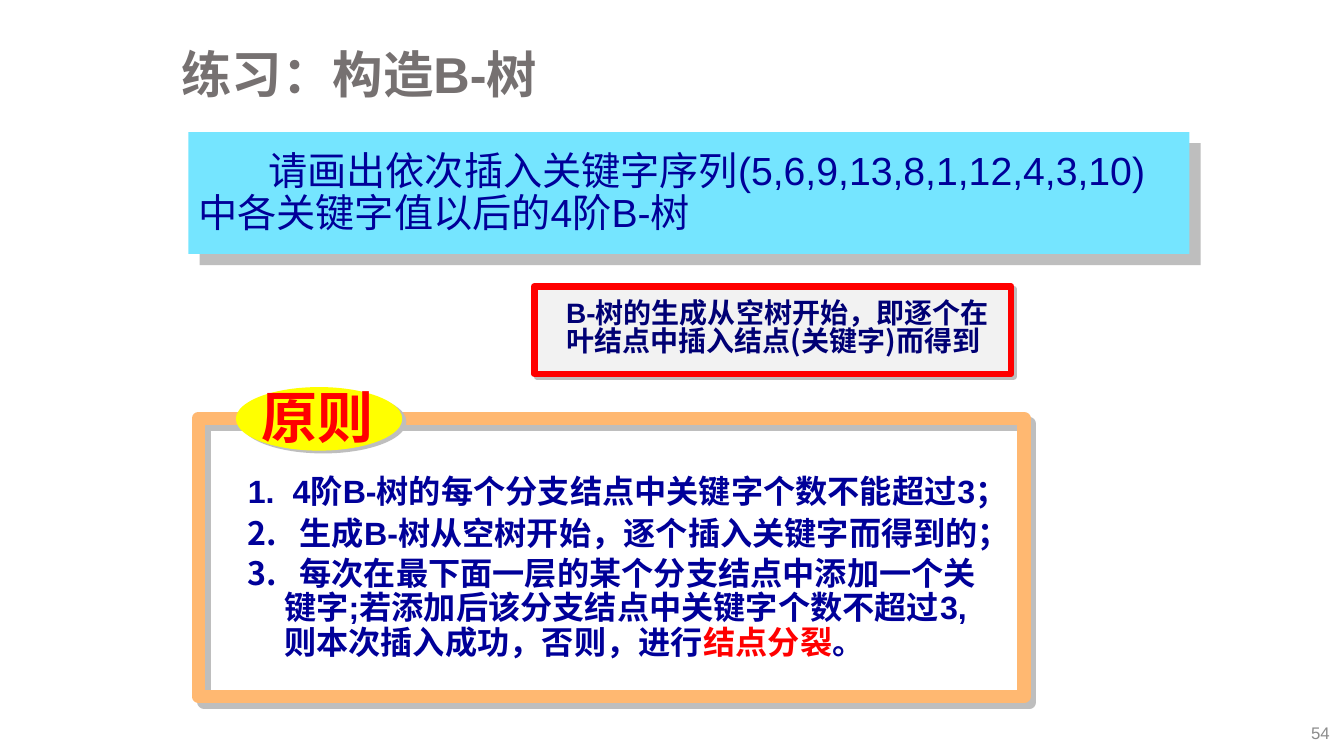
"""Builds the exercise slide on constructing a B-tree of order 4."""
from lxml import etree
from pptx import Presentation
from pptx import util as u
from pptx.dml.color import RGBColor
from pptx.enum import shapes, text
from pptx.oxml import parse_xml
from pptx.oxml.ns import nsdecls, qn

COLOURS = {
    "title": "767171", "number": "8C8C8C", "body": "000099", "note": "000074",
    "accent": "FF0000", "question": "75E5FF", "badge": "FFFF00", "frame": "FFB871",
    "panel": "F2F2F2", "shadow": "BEBEBE", "black": "000000",
}
ARIAL, NOTO = "Arial", "Noto Sans CJK SC"


def colour(name):
    """Return a named colour."""
    return RGBColor.from_string(COLOURS[name])


def shadow_effect(name, distance, angle):
    """Return an effect list with a hard shadow; distance in points."""
    return parse_xml(
        f'<a:effectLst {nsdecls("a")}><a:outerShdw blurRad="0" dist="{int(u.Pt(distance))}" '
        f'dir="{angle * 60000}" algn="ctr" rotWithShape="0">'
        f'<a:srgbClr val="{COLOURS[name]}"/></a:outerShdw></a:effectLst>')


class ExerciseSlide:
    """Holds the slide and its text style."""

    def __init__(self, slide):
        """Keep the slide to draw on."""
        self.slide = slide

    def place(self, shape, box):
        """Move a shape to a box given in points."""
        shape.left, shape.top, shape.width, shape.height = map(u.Pt, box)

    def run(self, paragraph, words, size, name="body", bold=True, font=ARIAL):
        """Add one styled run."""
        run = paragraph.add_run()
        run.text = words
        run.font.size, run.font.bold, run.font.name = u.Pt(size), bold, font
        run.font.color.rgb = colour(name)
        latin = run.font._element.find(qn("a:latin"))
        east_asian = etree.Element(qn("a:ea"), typeface=NOTO)
        latin.addnext(east_asian)
        return run

    def title(self, words, box):
        """Fill and format the title placeholder."""
        title = self.slide.shapes.title
        self.place(title, box)
        title.text_frame.vertical_anchor = text.MSO_ANCHOR.MIDDLE
        paragraph = title.text_frame.paragraphs[0]
        paragraph.alignment, paragraph.line_spacing = text.PP_ALIGN.LEFT, 0.9
        self.run(paragraph, words, 36, "title")

    def frame(self, box, anchor=text.MSO_ANCHOR.TOP):
        """Add a wrapping text box and return its text frame."""
        frame = self.slide.shapes.add_textbox(*map(u.Pt, box)).text_frame
        frame.word_wrap, frame.vertical_anchor = True, anchor
        return frame

    def paragraph(self, frame, first=False, spacing=1.0, left=0, indent=0):
        """Return a paragraph with line spacing and indents in points."""
        paragraph = frame.paragraphs[0] if first else frame.add_paragraph()
        paragraph.line_spacing = spacing
        properties = paragraph._p.get_or_add_pPr()
        properties.set("marL", str(int(u.Pt(left))))
        properties.set("indent", str(int(u.Pt(indent))))
        return paragraph

    def rule(self, number, words, box, left, spacing=1.0):
        """Add a numbered rule and return its text frame."""
        frame = self.frame(box)
        paragraph = self.paragraph(frame, True, spacing, left, -left)
        etree.SubElement(paragraph._p.get_or_add_pPr(), qn("a:buAutoNum"),
                         type="arabicPeriod", startAt=str(number))
        self.run(paragraph, words, 23)
        return frame

    def panel(self, kind, box, shadow, fill=None, line=None, weight=0):
        """Add a shape with a hard shadow."""
        shape = self.slide.shapes.add_shape(kind, *map(u.Pt, box))
        if fill:
            shape.fill.solid()
            shape.fill.fore_color.rgb = colour(fill)
        else:
            shape.fill.background()
        if line:
            shape.line.color.rgb, shape.line.width = colour(line), u.Pt(weight)
        else:
            shape.line.fill.background()
        shape.shadow.inherit = False
        effects = shape._element.spPr.find(qn("a:effectLst"))
        effects.getparent().replace(effects, shadow_effect("shadow", *shadow))


def main():
    """Build and save the slide."""
    deck = Presentation()
    deck.slide_width, deck.slide_height = u.Pt(960), u.Pt(540)
    page = ExerciseSlide(deck.slides.add_slide(deck.slide_layouts[5]))
    rectangle, ellipse = shapes.MSO_SHAPE.RECTANGLE, shapes.MSO_SHAPE.OVAL

    page.title("练习：构造B-树", (122.4, 24.5, 810, 61.2))
    page_number = page.frame((740.9, 512.6, 216, 22.3), text.MSO_ANCHOR.MIDDLE)
    page_number.paragraphs[0].alignment = text.PP_ALIGN.RIGHT
    page.run(page_number.paragraphs[0], "54", 12, "number", False)

    page.panel(rectangle, (134.6, 94.3, 715, 87.1), (11.3, 45), "question")
    question = page.frame((134.6, 104.4, 697.7, 68.4))
    page.run(page.paragraph(question, True, 0.9, 0, 50),
             "请画出依次插入关键字序列(5,6,9,13,8,1,12,4,3,10)中各关键字值以后的4阶B-树",
             28, bold=False)

    page.rule(1, "4阶B-树的每个分支结点中关键字个数不能超过3；",
              (169.9, 333.4, 595.4, 34.6), 32)
    page.rule(2, "生成B-树从空树开始，逐个插入关键字而得到的；",
              (169.9, 362.9, 595.4, 34.6), 37)
    splitting = page.rule(3, "每次在最下面一层的某个分支结点中添加一个关",
                          (169.9, 394.6, 595.4, 82.1), 37, 0.9)
    page.run(page.paragraph(splitting, spacing=0.9, left=26),
             "键字;若添加后该分支结点中关键字个数不超过3,", 23)
    outcome = page.paragraph(splitting, spacing=0.9, left=26)
    for words, name in (("则本次插入成功，否则，进行", "body"),
                        ("结点分裂", "accent"), ("。", "body")):
        page.run(outcome, words, 23, name)

    page.panel(rectangle, (141.8, 298.8, 589.7, 198.7), (5.7, 45), line="frame", weight=9.5)
    page.panel(ellipse, (168.5, 276.5, 118.8, 45.4), (3.6, 34), "badge")
    badge = page.frame((180, 270, 114.5, 55.4))
    principle = page.run(page.paragraph(badge, True), "原则", 40, "accent")
    principle.font._element.find(qn("a:solidFill")).addnext(shadow_effect("black", 2.8, 45))

    page.panel(rectangle, (381.6, 204.5, 340.6, 62.6), (2.8, 45), "panel", "accent", 4.75)
    note = page.frame((397.4, 211, 343.4, 48.2))
    growth = page.paragraph(note, True, 0.85)
    page.run(growth, "B-", 20, "note")
    page.run(growth, "树的生成从空树开始，即逐个在", 20, "note", font=NOTO)
    page.run(page.paragraph(note, spacing=0.85),
             "叶结点中插入结点(关键字)而得到", 20, "note", font=NOTO)

    deck.save("out.pptx")


if __name__ == "__main__":
    main()
